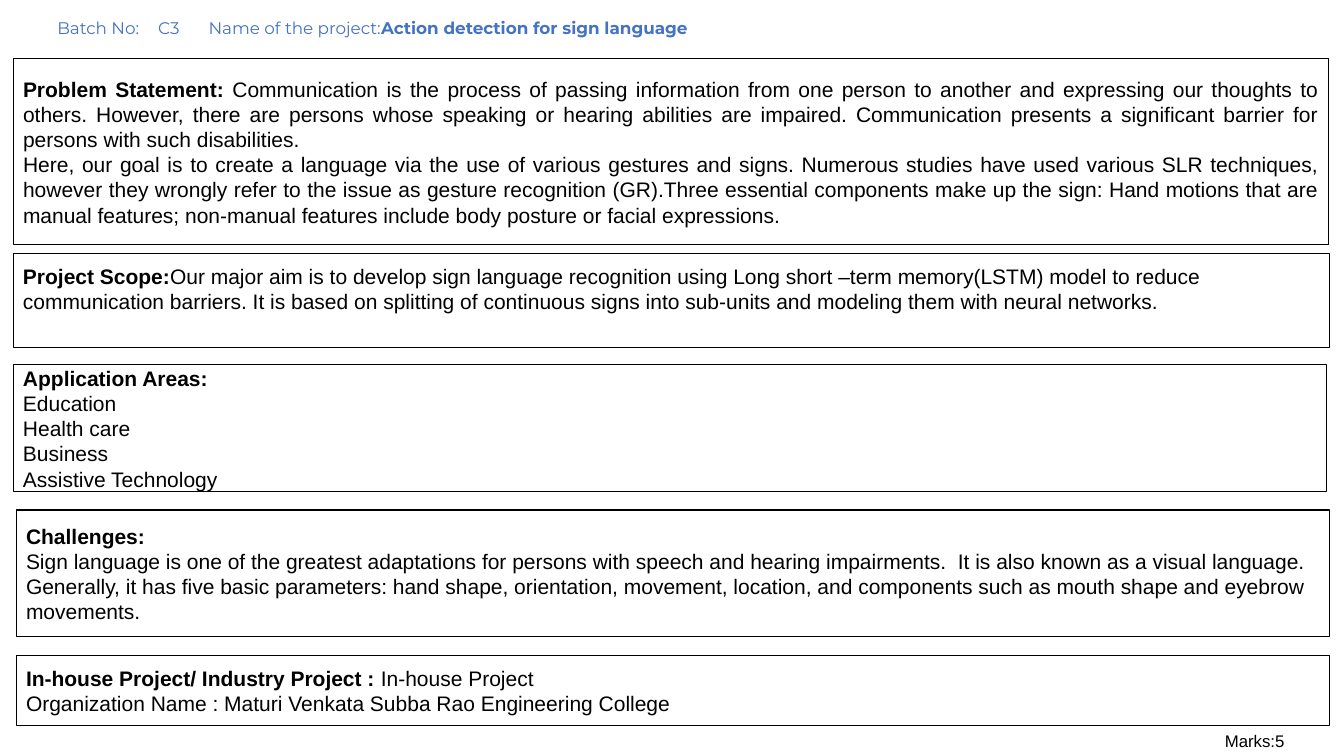
"""Build the project summary slide for sign language action detection."""
from dataclasses import dataclass

from pptx import Presentation
from pptx import util as u
from pptx.dml.color import RGBColor
from pptx.enum import shapes, text


@dataclass(frozen=True)
class Theme:
    """Colours, fonts and sizes of the slide."""
    ink: RGBColor = RGBColor(0, 0, 0)
    paper: RGBColor = RGBColor(255, 255, 255)
    accent: RGBColor = RGBColor(0x44, 0x72, 0xC4)
    body_font: str = "Arial"
    header_font: str = "Montserrat"
    body_size: u.Pt = u.Pt(15)
    small_size: u.Pt = u.Pt(12)
    border: u.Pt = u.Pt(0.75)


THEME = Theme()
LEFT = text.PP_ALIGN.LEFT
JUSTIFY = text.PP_ALIGN.JUSTIFY

SECTIONS = [
    ((0.13, 0.58, 13.05, 1.85), JUSTIFY, 0.05, [
        ("Problem Statement:",
         " Communication is the process of passing information from one person to another "
         "and expressing our thoughts to others. However, there are persons whose speaking "
         "or hearing abilities are impaired. Communication presents a significant barrier "
         "for persons with such disabilities."),
        ("", "Here, our goal is to create a language via the use of various gestures and signs. "
         "Numerous studies have used various SLR techniques, however they wrongly refer to "
         "the issue as gesture recognition (GR).Three essential components make up the sign: "
         "Hand motions that are manual features; non-manual features include body posture or "
         "facial expressions."),
    ]),
    ((0.13, 2.52, 13.06, 0.93), LEFT, 0.3, [
        ("Project Scope:",
         "Our major aim is to develop sign language recognition using Long short –term "
         "memory(LSTM) model to reduce communication barriers. It is based on splitting of "
         "continuous signs into sub-units and modeling them with neural networks."),
    ]),
    ((0.13, 3.62, 13.03, 1.26), LEFT, 0.05, [
        ("Application Areas:", ""),
        ("", "Education"),
        ("", "Health care"),
        ("", "Business"),
        ("", "Assistive Technology"),
    ]),
    ((0.16, 5.06, 13.03, 1.26), LEFT, 0.05, [
        ("Challenges:", ""),
        ("", "Sign language is one of the greatest adaptations for persons with speech and "
         "hearing impairments.  It is also known as a visual language. Generally, it has "
         "five basic parameters: hand shape, orientation, movement, location, and components "
         "such as mouth shape and eyebrow movements."),
    ]),
    ((0.16, 6.5, 13.03, 0.7), LEFT, 0.05, [
        ("In-house Project/ Industry Project : ", "In-house Project"),
        ("", "Organization Name : Maturi Venkata Subba Rao Engineering College"),
    ]),
]


def add_run(paragraph, wording, font, size, colour, bold=False):
    """Append one formatted run to a paragraph."""
    run = paragraph.add_run()
    run.text = wording
    run.font.name = font
    run.font.size = size
    run.font.bold = bold
    run.font.color.rgb = colour


def add_section(slide, place, alignment, bottom_inset, lines):
    """Draw a bordered box whose lines are pairs of bold heading and plain text."""
    section = slide.shapes.add_shape(
        shapes.MSO_SHAPE.RECTANGLE, *map(u.Inches, place))
    section.shadow.inherit = False
    section.fill.solid()
    section.fill.fore_color.rgb = THEME.paper
    section.line.color.rgb = THEME.ink
    section.line.width = THEME.border
    frame = section.text_frame
    frame.word_wrap = True
    frame.vertical_anchor = text.MSO_ANCHOR.MIDDLE
    frame.margin_bottom = u.Inches(bottom_inset)
    for index, (heading, body) in enumerate(lines):
        paragraph = frame.add_paragraph() if index else frame.paragraphs[0]
        paragraph.alignment = alignment
        for wording, bold in ((heading, True), (body, False)):
            if wording:
                add_run(paragraph, wording, THEME.body_font, THEME.body_size,
                        THEME.ink, bold)


def add_label(slide, place, wrap):
    """Add a text box and return its first paragraph."""
    label = slide.shapes.add_textbox(*map(u.Inches, place))
    label.text_frame.word_wrap = wrap
    return label.text_frame.paragraphs[0]


def add_header(slide):
    """Write the batch number and the project name."""
    header = add_label(slide, (0.47, 0.15, 12.69, 0.35), True)
    header.line_spacing = 0.9
    for wording, bold in (("Batch No:\tC3\tName of the project:", False),
                          ("Action detection for sign language", True)):
        add_run(header, wording, THEME.header_font, THEME.small_size,
                THEME.accent, bold)


def add_marks(slide):
    """Write the marks at the bottom right."""
    marks = add_label(slide, (12.05, 7.2, 0.8, 0.3), False)
    add_run(marks, "Marks:5", THEME.body_font, THEME.small_size, THEME.ink)


def main():
    """Build and save the slide."""
    deck = Presentation()
    deck.slide_width, deck.slide_height = u.Inches(13.33), u.Inches(7.5)
    slide = deck.slides.add_slide(deck.slide_layouts[6])
    add_header(slide)
    for section in SECTIONS:
        add_section(slide, *section)
    add_marks(slide)
    deck.save("out.pptx")


if __name__ == "__main__":
    main()
